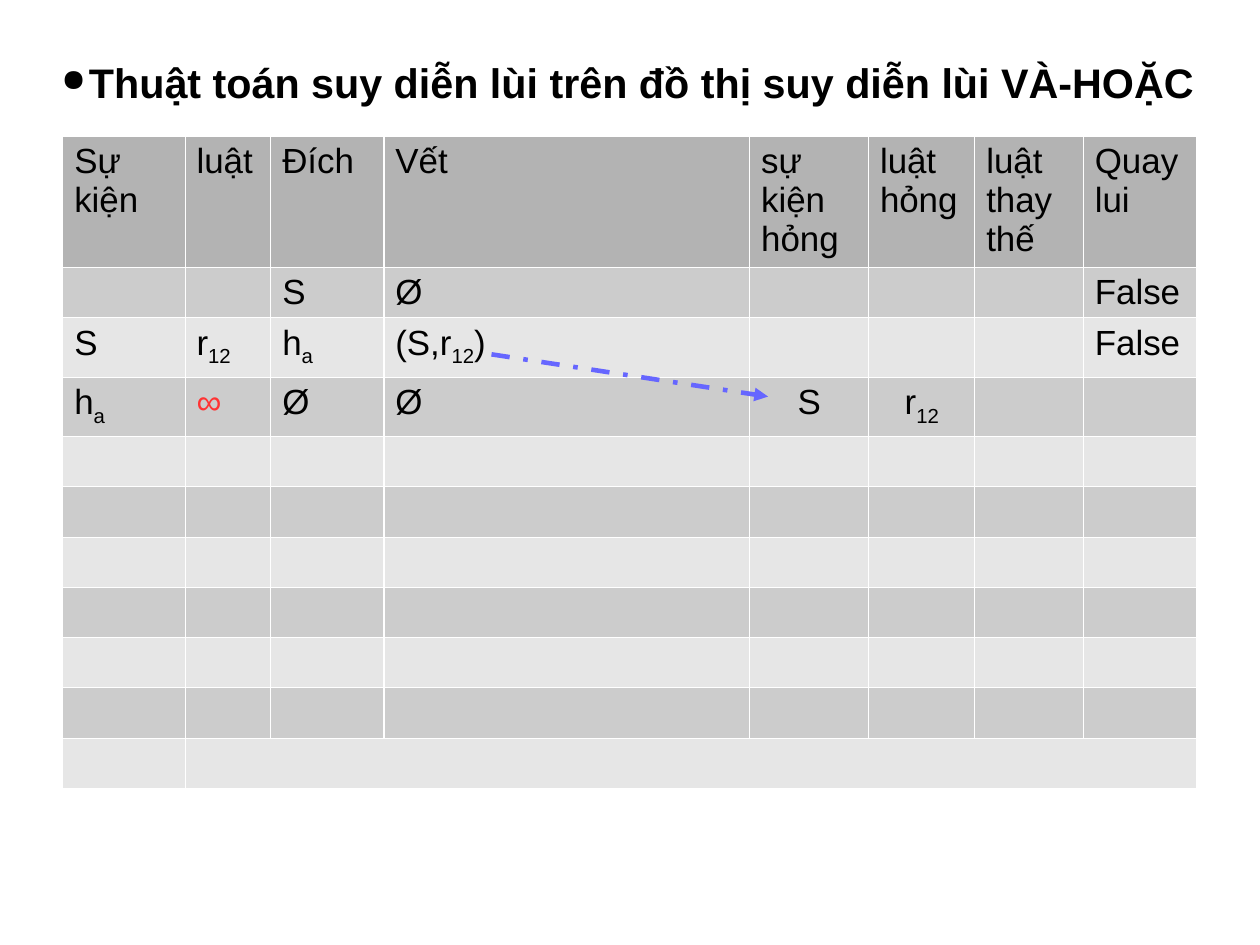
from lxml.etree import SubElement
from pptx import Presentation
from pptx.dml.color import RGBColor
from pptx.enum.dml import MSO_LINE
from pptx.enum.shapes import MSO_CONNECTOR
from pptx.enum.text import MSO_ANCHOR, PP_ALIGN
from pptx.oxml.ns import qn
from pptx.util import Inches, Pt

COLS = [1.07, 0.75, 0.99, 3.2, 1.04, 0.93, 0.95, 0.99]
ROWS = [1.13, 0.44, 0.52, 0.52] + [0.44] * 7
HEAD, DARK, LIGHT = "B3B3B3", "CCCCCC", "E6E6E6"

# Text between underscores is subscript
TRACE = [
    ["Sự kiện", "luật", "Đích", "Vết", "sự kiện hỏng", "luật hỏng",
     "luật thay thế", "Quay lui"],
    ["", "", "S", "Ø", "", "", "", "False"],
    ["S", "r_12_", "h_a_", "(S,r_12_)", "", "", "", "False"],
    ["h_a_", "∞", "Ø", "Ø", "S", "r_12_", "", ""],
]


def color(code):
    return RGBColor.from_string(code)


def style(para, size, bold=False, code="000000"):
    font = para.font
    font.name, font.size, font.bold = "Arial", Pt(size), bold
    font.color.rgb = color(code)


def add_title(slide, left, top, width, height):
    box = slide.shapes.add_textbox(
        Inches(left), Inches(top), Inches(width), Inches(height))
    frame = box.text_frame
    frame.word_wrap = True
    frame.vertical_anchor = MSO_ANCHOR.MIDDLE
    frame.margin_left = frame.margin_right = 0
    frame.margin_top = frame.margin_bottom = 0
    para = frame.paragraphs[0]
    para.text = "Thuật toán suy diễn lùi trên đồ thị suy diễn lùi VÀ-HOẶC"
    para.alignment = PP_ALIGN.CENTER
    # Bullet with hanging indent
    props = para._p.get_or_add_pPr()
    props.set("marL", str(Inches(0.24)))
    props.set("indent", str(Inches(-0.24)))
    tint = SubElement(props, qn("a:buClr"))
    SubElement(tint, qn("a:srgbClr"), val="000000")
    SubElement(props, qn("a:buSzPct"), val="75000")
    SubElement(props, qn("a:buChar"), char="●")
    style(para, 26, True)


def paint(cell, code):
    # White borders, then the fill
    props = cell._tc.get_or_add_tcPr()
    for side in ("lnL", "lnR", "lnT", "lnB"):
        line = SubElement(props, qn("a:" + side), w=str(Pt(0.75)))
        fill = SubElement(line, qn("a:solidFill"))
        SubElement(fill, qn("a:srgbClr"), val="FFFFFF")
    cell.fill.solid()
    cell.fill.fore_color.rgb = color(code)


def write(cell, text, center):
    cell.margin_bottom = 0
    para = cell.text_frame.paragraphs[0]
    for i, part in enumerate(text.split("_")):
        if part:
            run = para.add_run()
            run.text = part
            if i % 2:
                run._r.get_or_add_rPr().set("baseline", "-25000")
    if center:
        para.alignment = PP_ALIGN.CENTER
    style(para, 22, code="FF3333" if text == "∞" else "000000")


def add_trace(slide, left, top):
    table = slide.shapes.add_table(
        len(ROWS), len(COLS), Inches(left), Inches(top),
        Inches(sum(COLS)), Inches(sum(ROWS))).table
    table.first_row = table.horz_banding = False
    for col, width in zip(table.columns, COLS):
        col.width = Inches(width)
    for r, height in enumerate(ROWS):
        table.rows[r].height = Inches(height)
        shade = HEAD if r == 0 else DARK if r % 2 else LIGHT
        for c in range(len(COLS)):
            cell = table.cell(r, c)
            paint(cell, shade)
            if r < len(TRACE) and TRACE[r][c]:
                write(cell, TRACE[r][c], r == 3 and c > 3)
    # The last row spans all but its first column
    end = len(ROWS) - 1
    table.cell(end, 1).merge(table.cell(end, len(COLS) - 1))


def add_arrow(slide, left, top, width, height):
    arrow = slide.shapes.add_connector(
        MSO_CONNECTOR.STRAIGHT, Inches(left), Inches(top),
        Inches(left + width), Inches(top + height))
    arrow.line.color.rgb = color("6666FF")
    arrow.line.width = Pt(2.89)
    arrow.line.dash_style = MSO_LINE.DASH_DOT
    SubElement(arrow.line._get_or_add_ln(), qn("a:tailEnd"), type="triangle")
    SubElement(arrow._element.spPr, qn("a:effectLst"))


def main():
    deck = Presentation()
    # A page of 28 by 21 cm
    deck.slide_width, deck.slide_height = Inches(28 / 2.54), Inches(21 / 2.54)
    slide = deck.slides.add_slide(deck.slide_layouts[6])
    add_title(slide, 0.4, 0.31, 10.2, 0.81)
    add_trace(slide, 0.55, 1.19)
    add_arrow(slide, 4.3, 3.1, 2.42, 0.37)
    deck.save("out.pptx")


if __name__ == "__main__":
    main()
